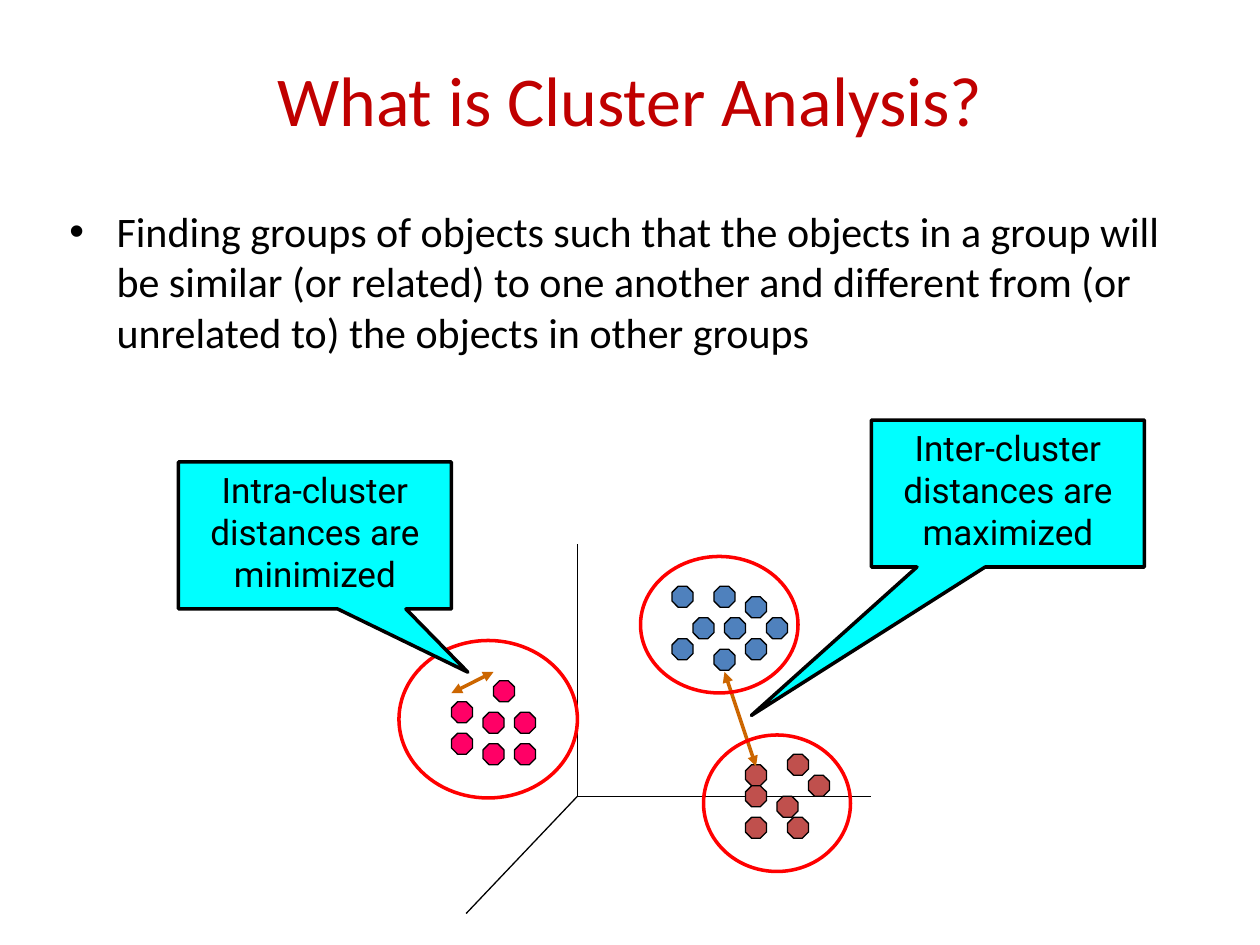
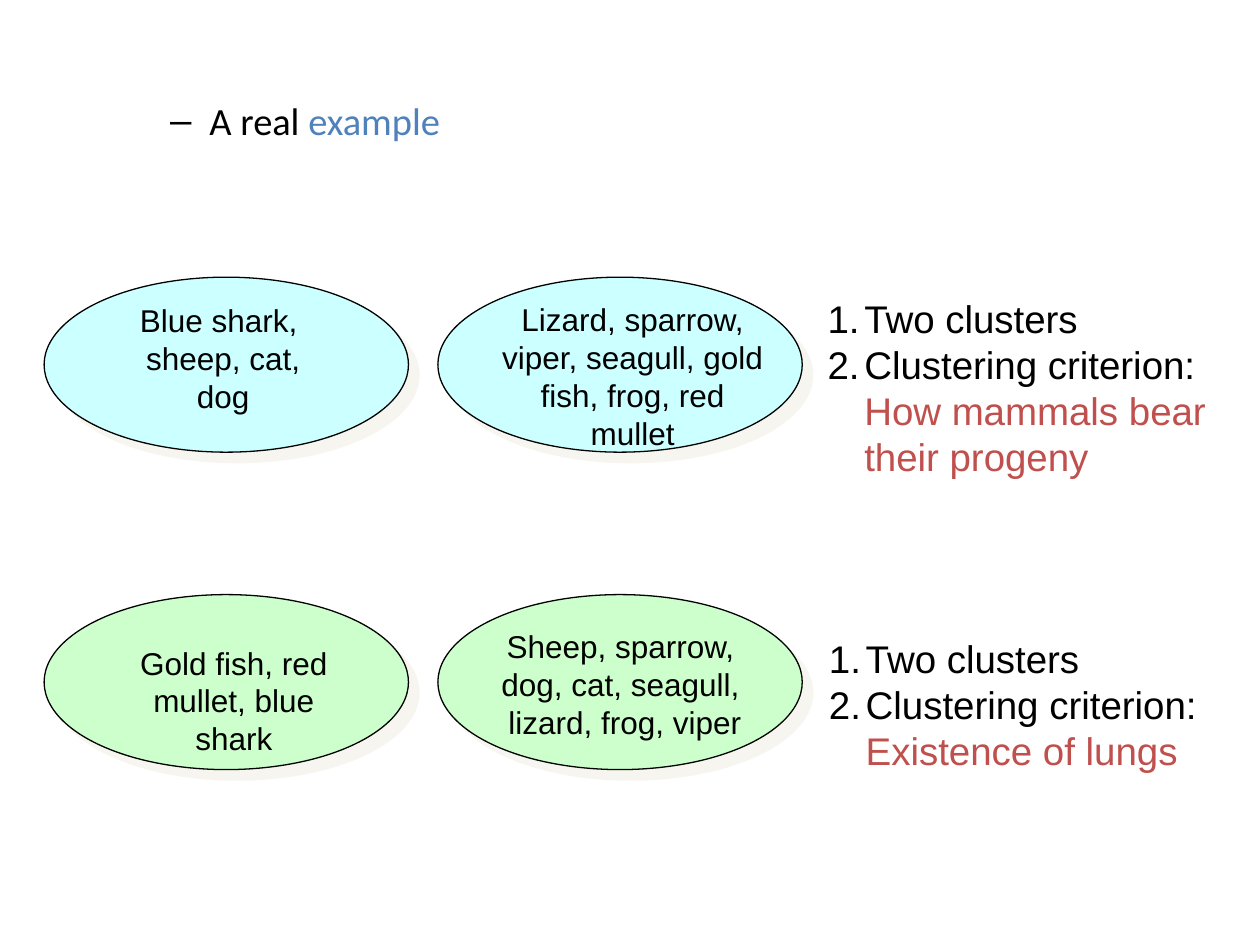
from lxml.etree import SubElement
from pptx import Presentation
from pptx.dml.color import RGBColor
from pptx.enum.shapes import MSO_CONNECTOR, MSO_SHAPE
from pptx.enum.text import MSO_ANCHOR, MSO_AUTO_SIZE, PP_ALIGN
from pptx.oxml.ns import qn
from pptx.util import Pt

BLACK = RGBColor(0x00, 0x00, 0x00)
TITLE_RED = RGBColor(0xC0, 0x00, 0x00)
BLUE = RGBColor(0x4F, 0x81, 0xBD)
BRICK = RGBColor(0xC0, 0x50, 0x4D)
PINK = RGBColor(0xFF, 0x00, 0x66)
RING_RED = RGBColor(0xFF, 0x00, 0x00)
ARROW_ORANGE = RGBColor(0xCC, 0x66, 0x00)
CALLOUT_CYAN = RGBColor(0x00, 0xFF, 0xFF)
PALE_CYAN = RGBColor(0xCC, 0xFF, 0xFF)
PALE_GREEN = RGBColor(0xCC, 0xFF, 0xCC)
SHADOW = "EEECE1"

DOT_SIZE = 12
# Left and top of every dot, by cluster
CLUSTERS = {
    BLUE: [(396, 353), (414, 353), (408, 335), (408, 371), (438, 353),
           (426, 341), (384, 335), (426, 365), (384, 365)],
    PINK: [(258, 401), (276, 407), (276, 425), (294, 407), (282, 389),
           (294, 425), (258, 419)],
    BRICK: [(426, 437), (462, 443), (444, 455), (426, 467), (450, 467),
            (426, 449), (450, 431)],
}
RINGS = [(228, 366, 102, 90), (366, 318, 90, 78), (402, 420, 84, 78)]
ORIGIN = (330, 455)
AXIS_ENDS = [(330, 311), (498, 455), (266.4, 522)]

# Fill, top and two (text, box) entries for each row of clusters
ANIMAL_ROWS = [
    (PALE_CYAN, 158.4, [
        ("Blue shark, \nsheep, cat,\ndog", (72, 168.5, 111, 72)),
        ("Lizard, sparrow, viper, seagull, gold fish, frog, red mullet",
         (276.5, 168, 170, 94)),
    ]),
    (PALE_GREEN, 339.8, [
        ("Gold fish, red mullet, blue shark", (67, 364.3, 133.2, 72)),
        ("Sheep, sparrow, \vdog, cat, seagull, \vlizard, frog, viper",
         (273, 355, 168, 72)),
    ]),
]
CRITERIA = [
    (("How mammals bear", "their progeny"), (465.8, 164.9, 240, 113)),
    (("Existence of lungs",), (466.6, 359.3, 240, 86.4)),
]


def place(shape, box):
    shape.left, shape.top, shape.width, shape.height = map(Pt, box)


def set_font(font, name, size, color=BLACK):
    font.name, font.size = name, Pt(size)
    font.color.rgb = color


def set_indent(paragraph, left, hanging):
    properties = paragraph._p.get_or_add_pPr()
    properties.set("marL", str(Pt(left)))
    properties.set("indent", str(Pt(-hanging)))
    return properties


def prepare_placeholder(placeholder, box, anchor):
    """Move a placeholder and return its first paragraph."""
    place(placeholder, box)
    frame = placeholder.text_frame
    frame.auto_size = MSO_AUTO_SIZE.NONE
    frame.vertical_anchor = anchor
    paragraph = frame.paragraphs[0]
    paragraph.space_before = Pt(0)
    return paragraph


def add_preset(slide, kind, box, fill=None, line=BLACK, line_width=0.75):
    shape = slide.shapes.add_shape(kind, *map(Pt, box))
    shape.shadow.inherit = False
    if fill is None:
        shape.fill.background()
    else:
        shape.fill.solid()
        shape.fill.fore_color.rgb = fill
    shape.line.color.rgb = line
    shape.line.width = Pt(line_width)
    return shape


def add_line(slide, start, end, color=BLACK, width=0.75, arrows=False):
    line = slide.shapes.add_connector(
        MSO_CONNECTOR.STRAIGHT, *map(Pt, (*start, *end)))
    line.line.color.rgb = color
    line.line.width = Pt(width)
    if arrows:
        outline = line.line._get_or_add_ln()
        for end_name in ("a:headEnd", "a:tailEnd"):
            SubElement(outline, qn(end_name), type="triangle")
    SubElement(line._element.spPr, qn("a:effectLst"))


def add_callout(slide, text, box, pointer):
    callout = add_preset(slide, MSO_SHAPE.RECTANGULAR_CALLOUT, box,
                         CALLOUT_CYAN, line_width=2)
    callout.adjustments[0], callout.adjustments[1] = pointer
    frame = callout.text_frame
    frame.word_wrap = True
    frame.vertical_anchor = MSO_ANCHOR.TOP
    paragraph = frame.paragraphs[0]
    paragraph.text = text
    paragraph.alignment = PP_ALIGN.CENTER
    set_font(paragraph.font, "Roboto", 20)


def add_text_box(slide, text, box, size, alignment=PP_ALIGN.LEFT):
    frame = slide.shapes.add_textbox(*map(Pt, box)).text_frame
    frame.word_wrap = True
    frame.text = text
    for paragraph in frame.paragraphs:
        paragraph.alignment = alignment
        set_font(paragraph.font, "Arial", size)
    return frame


def add_shaded_ellipse(slide, box, fill):
    ellipse = add_preset(slide, MSO_SHAPE.OVAL, box, fill)
    effects = ellipse._element.spPr.find(qn("a:effectLst"))
    shadow = SubElement(effects, qn("a:outerShdw"), dist=str(Pt(8.5)),
                        dir="2700000", algn="ctr", rotWithShape="0")
    color = SubElement(shadow, qn("a:srgbClr"), val=SHADOW)
    SubElement(color, qn("a:alpha"), val="50000")


def add_criterion(slide, answer_lines, box):
    """Numbered list whose second item ends in a coloured answer."""
    frame = add_text_box(slide, "Two clusters\nClustering criterion:", box, 22)
    for paragraph in frame.paragraphs:
        properties = set_indent(paragraph, 21, 21)
        numbering = properties.makeelement(
            qn("a:buAutoNum"), {"type": "arabicPeriod"})
        properties.insert(0, numbering)
    for line in answer_lines:
        paragraph.add_line_break()
        run = paragraph.add_run()
        run.text = line
        set_font(run.font, "Arial", 22, BRICK)


def build_definition_slide(presentation):
    slide = presentation.slides.add_slide(presentation.slide_layouts[1])
    title, body = slide.placeholders

    # Title and definition
    paragraph = prepare_placeholder(title, (36, 34, 648, 44.6),
                                    MSO_ANCHOR.MIDDLE)
    paragraph.text = "What is Cluster Analysis?"
    paragraph.alignment = PP_ALIGN.CENTER
    set_font(paragraph.font, "Calibri", 40, TITLE_RED)
    paragraph = prepare_placeholder(body, (32.4, 113.8, 655.2, 102),
                                    MSO_ANCHOR.TOP)
    paragraph.text = (
        "Finding groups of objects such that the objects in a group will be "
        "similar (or related) to one another and different from (or unrelated "
        "to) the objects in other groups")
    set_indent(paragraph, 27, 27)
    set_font(paragraph.font, "Calibri", 24)

    # Axes and dots
    for axis_end in AXIS_ENDS:
        add_line(slide, ORIGIN, axis_end)
    for color, dots in CLUSTERS.items():
        for left, top in dots:
            add_preset(slide, MSO_SHAPE.OCTAGON,
                       (left, top, DOT_SIZE, DOT_SIZE), color)

    # Distances, callouts and rings
    add_line(slide, (432, 438), (414, 384), ARROW_ORANGE, 2, arrows=True)
    add_callout(slide, "Inter-cluster distances are maximized",
                (498, 240, 156, 84), (-0.94, 1.51))
    for ring in RINGS:
        add_preset(slide, MSO_SHAPE.OVAL, ring, line=RING_RED, line_width=2)
    add_line(slide, (258, 396), (282, 384), ARROW_ORANGE, 2, arrows=True)
    add_callout(slide, "Intra-cluster distances are minimized",
                (102, 264, 156, 84), (0.56, 0.93))


def build_example_slide(presentation):
    slide = presentation.slides.add_slide(presentation.slide_layouts[1])
    title, body = slide.placeholders
    title._element.getparent().remove(title._element)

    # Heading
    paragraph = prepare_placeholder(body, (54, 54.7, 612, 57),
                                    MSO_ANCHOR.TOP)
    paragraph.level = 1
    paragraph.line_spacing = 0.9
    set_indent(paragraph, 58.5, 22.5)
    for text, color in (("A real ", BLACK), ("example", BLUE)):
        run = paragraph.add_run()
        run.text = text
        set_font(run.font, "Calibri", 22, color)

    # Clusters and their criteria
    for (fill, top, animals), criterion in zip(ANIMAL_ROWS, CRITERIA):
        for column in range(len(animals)):
            add_shaded_ellipse(
                slide, (25.2 + 225 * column, top, 208.2, 100), fill)
        for text, box in animals:
            add_text_box(slide, text, box, 18, PP_ALIGN.CENTER)
        add_criterion(slide, *criterion)


def main():
    presentation = Presentation()
    presentation.slide_width, presentation.slide_height = Pt(720), Pt(540)
    build_definition_slide(presentation)
    build_example_slide(presentation)
    presentation.save("out.pptx")


if __name__ == "__main__":
    main()
